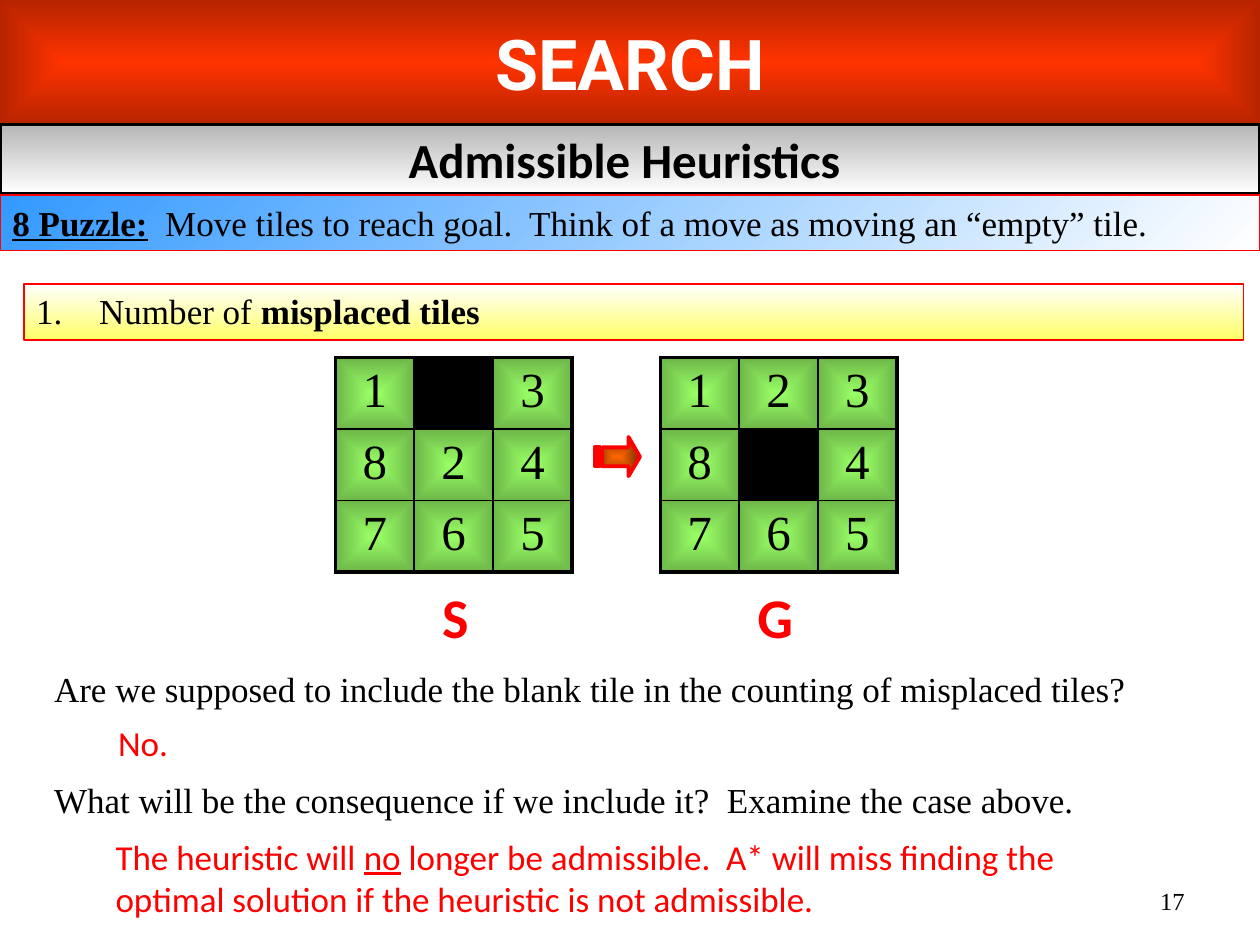
from lxml import etree
from pptx import Presentation
from pptx import util as u
from pptx.dml.color import RGBColor
from pptx.enum import shapes, text
from pptx.oxml import ns

COLORS = {
    "black": "000000", "white": "FFFFFF", "red": "FF0000",
    "flame": "FF3300", "blue": "3399FF", "yellow": "FFFF66",
    "green": "99FF66", "orange": "FF6600", "brown": "762F00",
}
SERIF, SANS, DISPLAY = "Times New Roman", "Calibri", "Roboto"
LEFT, CENTER, RIGHT = (text.PP_ALIGN.LEFT, text.PP_ALIGN.CENTER,
                       text.PP_ALIGN.RIGHT)
SHADE = 46275  # darkening of a gradient's end, in 1/1000 percent
TILE = 1.59, 1.44  # width and height of one puzzle tile


def add(parent, tag, **attributes):
    child = etree.SubElement(parent, ns.qn(tag))
    for name, value in attributes.items():
        child.set(name, str(value))
    return child


class SlideBuilder:
    """Holds the text style and the slide being filled."""

    def __init__(self, page, font=SERIF, size=20, color="black"):
        self.page = page
        self.font, self.size, self.color = font, size, color

    def gradient(self, fill, owner, stops, angle=None, route="shape"):
        """Stops are (colour, shaded); without an angle it runs from the centre."""
        fill.background()
        empty = owner.find(ns.qn("a:noFill"))
        grad = etree.Element(ns.qn("a:gradFill"), rotWithShape="1")
        stop_list = add(grad, "a:gsLst")
        for position, (color, shaded) in zip((0, 100000), stops):
            stop = add(stop_list, "a:gs", pos=position)
            value = add(stop, "a:srgbClr", val=COLORS[color])
            if shaded:
                add(value, "a:shade", val=SHADE)
        if angle is None:
            center = add(grad, "a:path", path=route)
            add(center, "a:fillToRect", l=50000, t=50000, r=50000, b=50000)
        else:
            add(grad, "a:lin", ang=angle * 60000, scaled=1)
        owner.replace(empty, grad)

    def outline(self, shape, color, width):
        shape.line.fill.background()
        if color:
            shape.line.color.rgb = RGBColor.from_string(COLORS[color])
            shape.line.width = u.Pt(width)

    def fill_para(self, para, parts, align=LEFT, font=None, size=None,
                  color=None):
        """Parts are (words, marks); marks holds b for bold, u for underline."""
        para.alignment = align
        for words, marks in parts:
            span = para.add_run()
            span.text = words
            span.font.name = font or self.font
            span.font.size = u.Pt(size or self.size)
            span.font.color.rgb = RGBColor.from_string(COLORS[color or self.color])
            span.font.bold = "b" in marks
            span.font.underline = "u" in marks

    def label(self, place, parts, wrap=False, middle=False, **style):
        box = self.page.shapes.add_textbox(*map(u.Cm, place))
        frame = box.text_frame
        frame.word_wrap = wrap
        if middle:
            frame.vertical_anchor = text.MSO_ANCHOR.MIDDLE
        else:
            frame.auto_size = text.MSO_AUTO_SIZE.SHAPE_TO_FIT_TEXT
        self.fill_para(frame.paragraphs[0], parts, **style)

    def band(self, place, stops, parts, angle=None, line=None, width=1,
             middle=False, **style):
        bar = self.page.shapes.add_shape(
            shapes.MSO_SHAPE.RECTANGLE, *map(u.Cm, place))
        bar.shadow.inherit = False
        self.gradient(bar.fill, bar._element.spPr, stops, angle)
        self.outline(bar, line, width)
        frame = bar.text_frame
        frame.word_wrap = True
        frame.vertical_anchor = (text.MSO_ANCHOR.MIDDLE if middle
                                 else text.MSO_ANCHOR.TOP)
        para = frame.paragraphs[0]
        self.fill_para(para, parts, **style)
        return para

    def number(self, para):
        props = para._p.get_or_add_pPr()
        props.set("marL", str(u.Cm(1.27)))
        props.set("indent", str(-u.Cm(1.27)))
        add(props, "a:buFont", typeface="+mj-lt")
        add(props, "a:buAutoNum", type="arabicPeriod")

    def borders(self, cell, row, column):
        """Thick lines on the outside of the puzzle, thin ones inside."""
        outer = {"L": column == 0, "R": column == 2,
                 "T": row == 0, "B": row == 2}
        props = cell._tc.get_or_add_tcPr()
        for index, (side, thick) in enumerate(outer.items()):
            line = add(props, f"a:ln{side}", w=u.Pt(2.25 if thick else 1))
            add(add(line, "a:solidFill"), "a:srgbClr", val=COLORS["black"])
            props.insert(index, line)

    def puzzle(self, left, top, tiles):
        width, height = TILE
        grid = self.page.shapes.add_table(
            3, 3, u.Cm(left), u.Cm(top), u.Cm(3 * width), u.Cm(3 * height)).table
        grid.first_row = grid.horz_banding = False
        for index, tile in enumerate(tiles):
            row, column = divmod(index, 3)
            cell = grid.cell(row, column)
            if tile == " ":
                cell.fill.solid()
                cell.fill.fore_color.rgb = RGBColor.from_string(COLORS["black"])
            else:
                self.gradient(cell.fill, cell._tc.get_or_add_tcPr(),
                              [("green", False), ("green", True)])
                para = cell.text_frame.paragraphs[0]
                self.fill_para(para, [(tile, "")], align=CENTER, size=28)
                before = add(para._p.get_or_add_pPr(), "a:spcBef")
                add(before, "a:spcPct", val=20000)
            self.borders(cell, row, column)

    def striped_arrow(self, outlines):
        first = outlines[0][0]
        builder = self.page.shapes.build_freeform(*map(u.Cm, first))
        for points in outlines:
            corners = [(u.Cm(x), u.Cm(y)) for x, y in points]
            if points is not outlines[0]:
                builder.move_to(*corners[0])
            builder.add_line_segments(corners[1:], close=True)
        arrow = builder.convert_to_shape()
        arrow.shadow.inherit = False
        self.gradient(arrow.fill, arrow._element.spPr,
                      [("orange", False), ("brown", False)], route="rect")
        self.outline(arrow, "red", 2.25)


def main():
    deck = Presentation()
    deck.slide_width, deck.slide_height = u.Cm(25.4), u.Cm(19.05)
    slide = SlideBuilder(deck.slides.add_slide(deck.slide_layouts[6]))

    # Page number
    slide.label((18.21, 17.65, 5.92, 1.02), [("17", "")], wrap=True,
                middle=True, align=RIGHT, size=14)

    # Headings
    slide.band((0, 0, 25.4, 2.51), [("flame", False), ("flame", True)],
               [("SEARCH", "b")], middle=True, align=CENTER, font=DISPLAY,
               size=40, color="white")
    slide.band((0, 2.51, 25.4, 1.4), [("white", True), ("white", False)],
               [("Admissible Heuristics ", "b")], angle=90, line="black",
               width=2.25, middle=True, align=CENTER, font=SANS, size=28)
    slide.band((0, 3.93, 25.4, 1.12), [("blue", False), ("white", False)],
               [("8 Puzzle:", "bu"),
                ("  Move tiles to reach goal.  Think of a move as moving "
                 "an “empty” tile.", "")],
               angle=45, line="red", width=0.75)

    # Goal state, arrow and state names
    slide.puzzle(13.31, 7.21, "1238 4765")
    top, bottom = 9.02, 9.4
    stripes = [[(left, top), (left, bottom), (right, bottom), (right, top)]
               for left, right in ((12.04, 12.09), (11.99, 12.01))]
    head = [(12.67, 8.81), (12.67, top), (12.14, top), (12.14, bottom),
            (12.67, bottom), (12.67, 9.6), (12.9, 9.21)]
    slide.striped_arrow([head, *stripes])
    for name, left, width in (("S", 8.66, 1.04), ("G", 15.01, 1.24)):
        slide.label((left, 11.61, width, 1.63), [(name, "b")], align=CENTER,
                    font=SANS, size=32, color="red")

    # Heuristic and start state
    heuristic = slide.band(
        (0.48, 5.72, 24.59, 1.14), [("white", False), ("yellow", False)],
        [("Number of ", ""), ("misplaced tiles", "b")], angle=90, line="red")
    slide.number(heuristic)
    slide.puzzle(6.76, 7.21, "1 3824765")

    # Questions and answers
    slide.label((0.84, 13.34, 22.25, 1.12),
                [("Are we supposed to include the blank tile in the counting "
                  "of misplaced tiles?", "")])
    slide.label((0.84, 15.57, 21.21, 1.12),
                [("What will be the consequence if we include it?  "
                  "Examine the case above.", "")])
    slide.label((2.13, 14.43, 1.52, 1.12), [("No.", "")], font=SANS, color="red")
    slide.label((2.08, 16.71, 21.03, 1.96),
                [("The heuristic will ", ""), ("no", "u"),
                 (" longer be admissible.  A* will miss finding the optimal "
                  "solution if the heuristic is not admissible.", "")],
                wrap=True, font=SANS, color="red")

    deck.save("out.pptx")


if __name__ == "__main__":
    main()
